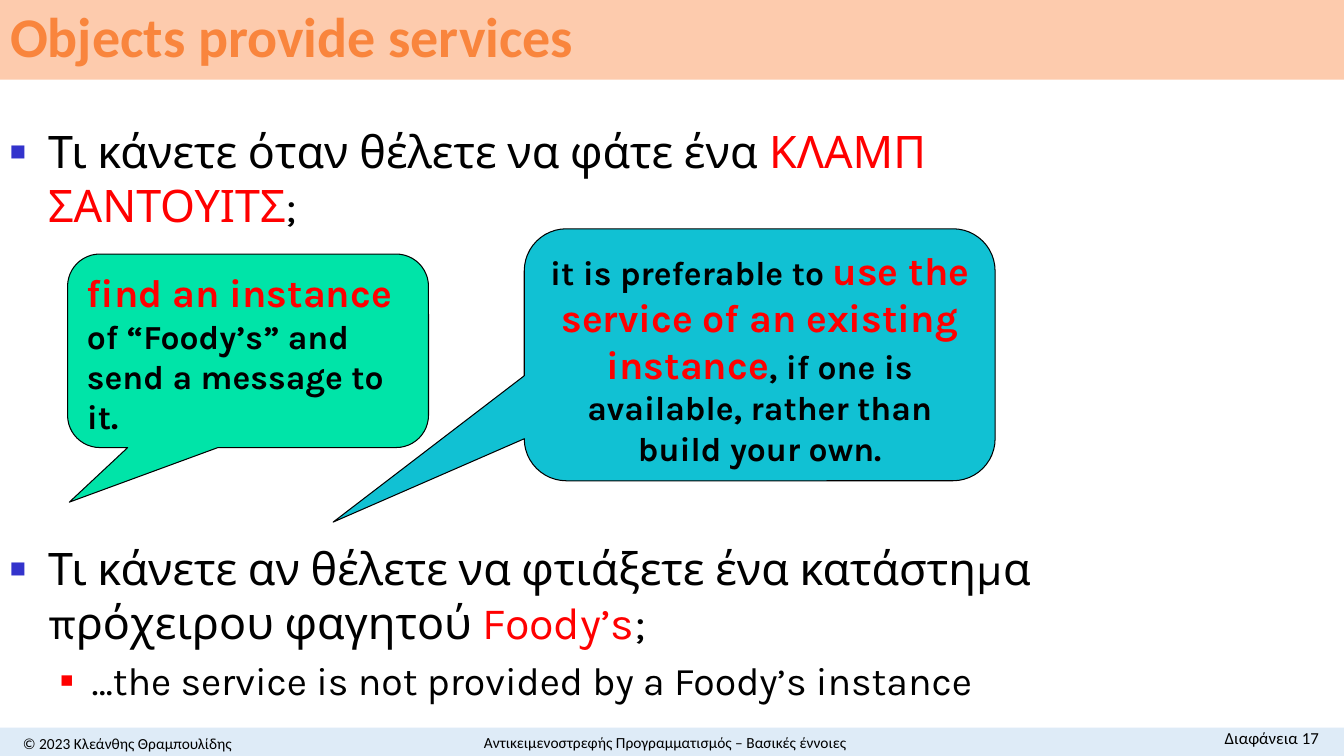
from lxml import etree
from pptx import Presentation
from pptx.dml.color import RGBColor
from pptx.enum import shapes, text
from pptx.oxml import ns
from pptx.util import Inches, Pt

BLACK = RGBColor(0, 0, 0)
RED = RGBColor(0xFF, 0, 0)
BLUE = RGBColor(0x33, 0x33, 0xCC)
ORANGE = RGBColor(0xF9, 0x85, 0x3D)
PEACH = RGBColor(0xFD, 0xCB, 0xAD)
PALE_BLUE = RGBColor(0xDE, 0xEB, 0xF7)
GREEN = RGBColor(0, 0xE4, 0xA8)
CYAN = RGBColor(0x11, 0xC1, 0xD3)

LEFT, CENTER, RIGHT = text.PP_ALIGN.LEFT, text.PP_ALIGN.CENTER, text.PP_ALIGN.RIGHT
TOP, MIDDLE = text.MSO_ANCHOR.TOP, text.MSO_ANCHOR.MIDDLE


def add_runs(p, runs, name, bold=False):
    for words, size, color in runs:
        r = p.add_run()
        r.text = words
        r.font.color.rgb = color
        for key, value in {"name": name, "size": Pt(size), "bold": bold}.items():
            setattr(r.font, key, value)


def add_bullet(p, margin, indent, color, percent):
    pPr = p._p.get_or_add_pPr()
    pPr.set("marL", str(Inches(margin)))
    pPr.set("indent", str(Inches(-indent)))
    clr = etree.SubElement(pPr, ns.qn("a:buClr"))
    etree.SubElement(clr, ns.qn("a:srgbClr"), val=str(color))
    etree.SubElement(pPr, ns.qn("a:buSzPct"), val=str(percent * 1000))
    etree.SubElement(pPr, ns.qn("a:buFont"), typeface="Arial")
    etree.SubElement(pPr, ns.qn("a:buChar"), char="■")


prs = Presentation()
prs.slide_width, prs.slide_height = Inches(13.33), Inches(7.5)
s = prs.slides.add_slide(prs.slide_layouts[5])

bar = s.shapes.add_shape(shapes.MSO_SHAPE.RECTANGLE,
                         Inches(0), Inches(7.22), Inches(13.33), Inches(0.3))
bar.shadow.inherit = False
bar.fill.solid()
bar.fill.fore_color.rgb = PALE_BLUE
bar.line.fill.background()

title = s.shapes.title
title.left, title.top = Inches(0), Inches(0)
title.width, title.height = Inches(13.33), Inches(0.79)
title.fill.solid()
title.fill.fore_color.rgb = PEACH
tf = title.text_frame
tf.auto_size = text.MSO_AUTO_SIZE.NONE
tf.vertical_anchor = MIDDLE
p = tf.paragraphs[0]
p.alignment = LEFT
p.line_spacing = 0.9
add_runs(p, [("Objects provide services", 40, ORANGE)], "Calibri", True)

footers = [
    ("© 2023 Κλεάνθης Θραμπουλίδης", 11, CENTER, MIDDLE, (0, 7.22, 2.53, 0.3)),
    ("Διαφάνεια 17", 12, RIGHT, TOP, (11.12, 7.17, 2.06, 0.3)),
    ("Αντικειμενοστρεφής Προγραμματισμός – Βασικές έννοιες", 11, CENTER, MIDDLE,
     (4.51, 7.22, 4.18, 0.28)),
]
for words, size, align, anchor, box in footers:
    tf = s.shapes.add_textbox(*map(Inches, box)).text_frame
    tf.word_wrap = True
    tf.vertical_anchor = anchor
    tf.paragraphs[0].alignment = align
    add_runs(tf.paragraphs[0], [(words, size, BLACK)], "Calibri")

questions = [
    ((0, 1.18, 11.64, 1.42),
     [("Τι κάνετε όταν θέλετε να φάτε ένα ", 32, BLACK),
      ("ΚΛΑΜΠ ΣΑΝΤΟΥΙΤΣ", 32, RED), (";", 32, BLACK)]),
    ((0, 5.32, 12.11, 1.8),
     [("Τι κάνετε αν θέλετε να φτιάξετε ένα κατάστημα πρόχειρου φαγητού ", 32, BLACK),
      ("Foody’s", 32, RED), (";", 32, BLACK)]),
]
for box, runs in questions:
    tf = s.shapes.add_textbox(*map(Inches, box)).text_frame
    tf.word_wrap = True
    add_bullet(tf.paragraphs[0], 0.38, 0.38, BLUE, 60)
    add_runs(tf.paragraphs[0], runs, "Karla")

p = tf.add_paragraph()
p.level = 1
p.space_before = Pt(5.6)
add_bullet(p, 0.81, 0.31, RED, 55)
add_runs(p, [("…the service is not provided by a Foody’s instance", 28, BLACK)], "Karla")

callouts = [
    ((0.67, 2.52, 3.58, 1.92), (-0.495, 0.782, 0.167), GREEN, LEFT,
     [("find an instance", 28, RED),
      (" of “Foody’s” and send a message to it.", 24, BLACK)]),
    ((5.2, 2.27, 4.67, 2.5), (-0.906, 0.664, 0.167), CYAN, CENTER,
     [("it is preferable to ", 24, BLACK),
      ("use the service of an existing instance", 28, RED),
      (", if one is available, rather than build your own.", 24, BLACK)]),
]
for box, adjustments, color, align, runs in callouts:
    sp = s.shapes.add_shape(shapes.MSO_SHAPE.ROUNDED_RECTANGULAR_CALLOUT, *map(Inches, box))
    for i, value in enumerate(adjustments):
        sp.adjustments[i] = value
    sp.shadow.inherit = False
    sp.fill.solid()
    sp.fill.fore_color.rgb = color
    sp.line.color.rgb = BLACK
    sp.line.width = Pt(0.75)
    tf = sp.text_frame
    tf.word_wrap = True
    tf.vertical_anchor = TOP
    tf.paragraphs[0].alignment = align
    add_runs(tf.paragraphs[0], runs, "Karla", True)

prs.save("out.pptx")
